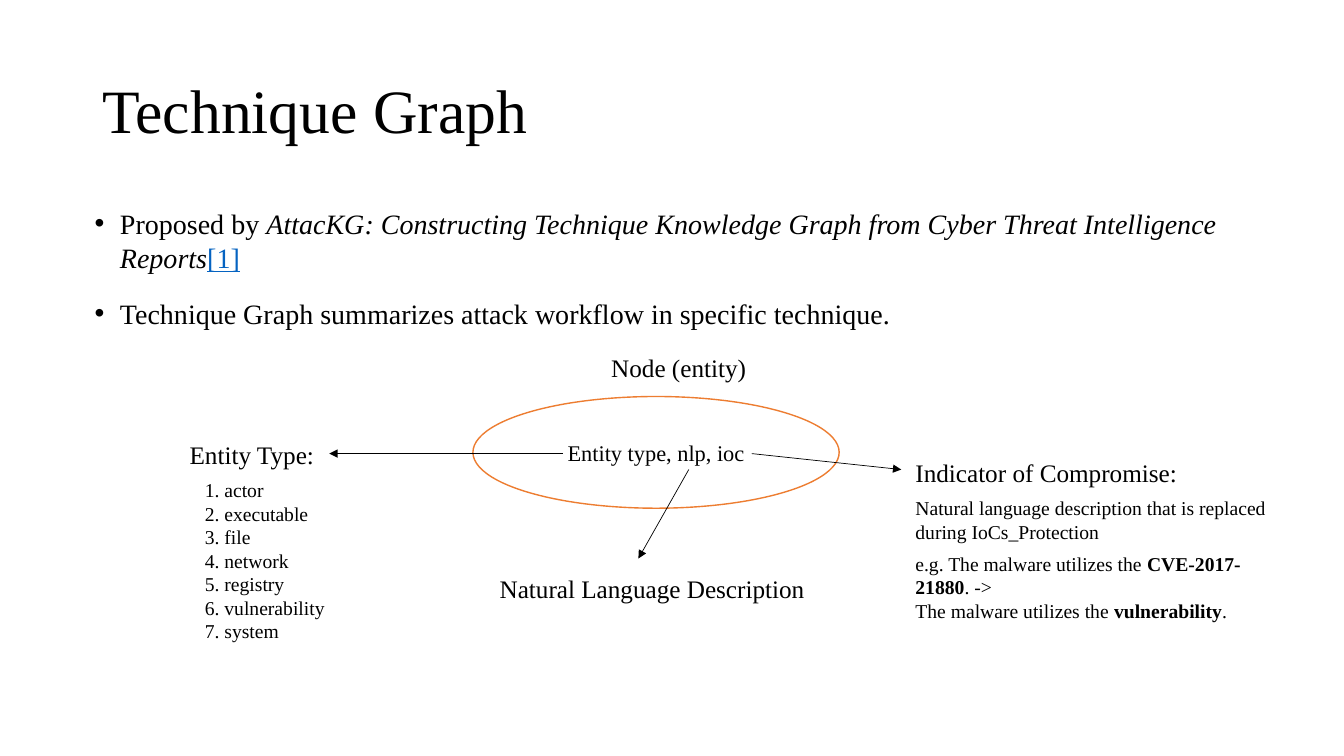
from dataclasses import dataclass

from lxml.etree import SubElement
from pptx import Presentation
from pptx.dml.color import RGBColor
from pptx.enum.shapes import MSO_CONNECTOR, MSO_SHAPE
from pptx.enum.text import MSO_ANCHOR as Anchor, PP_ALIGN as Align
from pptx.oxml.ns import qn
from pptx.util import Inches, Pt

BLACK = RGBColor(0x00, 0x00, 0x00)
WHITE = RGBColor(0xFF, 0xFF, 0xFF)
ORANGE = RGBColor(0xED, 0x7D, 0x31)
LINK_BLUE = RGBColor(0x05, 0x63, 0xC1)
FONT = "Times New Roman"
CELL = Inches(1 / 12)  # the slide is a grid of 160 columns by 90 rows

ENTITY_TYPES = ["actor", "executable", "file", "network", "registry",
                "vulnerability", "system"]


@dataclass
class Box:
    """A rectangle in grid columns and rows."""
    left: float
    top: float
    width: float
    height: float

    def inner(self, left, top, width, height):
        """Return a box placed relative to this one."""
        return Box(self.left + left, self.top + top, width, height)

    def point(self, column, row):
        """Return the slide position of a point inside this box."""
        return round((self.left + column) * CELL), round((self.top + row) * CELL)

    def frame(self):
        """Return left, top, width and height as slide lengths."""
        return [round(n * CELL)
                for n in (self.left, self.top, self.width, self.height)]


def add_text_box(page, box, anchor=Anchor.TOP):
    """Add a wrapping text box and return its text frame."""
    text = page.shapes.add_textbox(*box.frame()).text_frame
    text.word_wrap = True
    text.vertical_anchor = anchor
    return text


def write(text, size, *pieces, before=0, after=0, align=Align.LEFT):
    """Write one paragraph; a piece is a string or (string, font settings)."""
    first = text.paragraphs[0]
    para = text.add_paragraph() if first.runs else first
    para.alignment = align
    para.space_before, para.space_after = Pt(before), Pt(after)
    para.font.name, para.font.size = FONT, Pt(size)
    para.font.color.rgb = BLACK
    for piece in pieces:
        words, settings = (piece, {}) if isinstance(piece, str) else piece
        span = para.add_run()
        span.text = words
        span.font.bold = settings.get("bold")
        span.font.italic = settings.get("italic")
        span.font.underline = settings.get("underline")
        if "color" in settings:
            span.font.color.rgb = settings["color"]
    return para


def indent(para, margin, first_line=0, bullet=None):
    """Set the indents of a paragraph in inches, with an optional bullet."""
    properties = para._p.get_or_add_pPr()
    properties.set("marL", str(Inches(margin)))
    properties.set("indent", str(Inches(first_line)))
    if bullet:
        font = SubElement(properties, qn("a:buFont"), typeface="Arial")
        font.addnext(SubElement(properties, qn("a:buChar"), char=bullet))
        # Bullets come before the default run settings in the schema.
        defaults = properties.find(qn("a:defRPr"))
        if defaults is not None:
            properties.append(defaults)


def add_arrow(page, start, end):
    """Draw a thin black arrow from start to end."""
    arrow = page.shapes.add_connector(MSO_CONNECTOR.STRAIGHT, *start, *end)
    arrow.line.color.rgb = BLACK
    arrow.line.width = Pt(0.5)
    properties = arrow._element.spPr
    SubElement(properties.find(qn("a:ln")), qn("a:tailEnd"), type="triangle")
    SubElement(properties, qn("a:effectLst"))


def add_title(page, box):
    """Write the slide title."""
    text = add_text_box(page, box, Anchor.MIDDLE)
    write(text, 44, "Technique Graph").line_spacing = 0.9


def add_summary(page, box):
    """Write the two bullets under the title."""
    text = add_text_box(page, box)
    paper = ("AttacKG: Constructing Technique Knowledge Graph from "
             "Cyber Threat Intelligence Reports")
    bullets = [
        ["Proposed by ", (paper, {"italic": True}),
         ("[1]", {"color": LINK_BLUE, "underline": True})],
        ["Technique Graph summarizes attack workflow in specific technique."],
    ]
    for pieces in bullets:
        para = write(text, 20, *pieces, before=10, after=6)
        indent(para, 0.25, -0.25, "•")


def add_node(page, box):
    """Draw the entity node as an outlined ellipse."""
    node = page.shapes.add_shape(MSO_SHAPE.OVAL, *box.frame())
    node.shadow.inherit = False
    node.fill.solid()
    node.fill.fore_color.rgb = WHITE
    node.line.color.rgb = ORANGE
    node.line.width = Pt(1)
    node.text_frame.vertical_anchor = Anchor.MIDDLE
    write(node.text_frame, 16, "Entity type, nlp, ioc", align=Align.CENTER)


def add_entity_types(page, box):
    """List the numbered entity types under their heading."""
    text = add_text_box(page, box)
    write(text, 18, "Entity Type:", after=6)
    for number, entity in enumerate(ENTITY_TYPES, 1):
        indent(write(text, 14, f"{number}. {entity}"), 0.15)


def add_indicator(page, box):
    """Explain the indicator of compromise with an example."""
    text = add_text_box(page, box)
    bold = {"bold": True}
    write(text, 18, "Indicator of Compromise:", after=6)
    write(text, 14, "Natural language description that is replaced "
                    "during IoCs_Protection")
    write(text, 14, "e.g. The malware utilizes the ",
          ("CVE-2017-21880", bold), ". ->", before=6)
    write(text, 14, "The malware utilizes the ", ("vulnerability", bold), ".")


def add_node_diagram(page, box):
    """Draw the node with arrows to the meaning of its three fields."""
    add_node(page, box.inner(35.3, 6.2, 43.6, 13.3))
    label = add_text_box(page, box.inner(49.3, 0.4, 21, 4.8))
    write(label, 18, "Node (entity)", align=Align.CENTER)
    add_entity_types(page, box.inner(0.4, 10.7, 31, 28.4))
    description = add_text_box(page, box.inner(37.3, 26.7, 40.1, 4.8))
    write(description, 18, "Natural Language Description")
    add_indicator(page, box.inner(86.8, 12.9, 45.1, 23.9))
    for start, end in [((46, 13), (18.2, 13)),
                       ((61, 14.9), (55, 25.5)),
                       ((68.5, 13), (86.3, 14.9))]:
        add_arrow(page, box.point(*start), box.point(*end))


def build():
    """Build the one-slide deck and save it."""
    deck = Presentation()
    deck.slide_width, deck.slide_height = 160 * CELL, 90 * CELL
    page = deck.slides.add_slide(deck.slide_layouts[6])
    add_title(page, Box(11, 4.8, 138, 17.4))
    add_summary(page, Box(10.1, 24, 138, 57))
    add_node_diagram(page, Box(21, 41, 132, 40))
    deck.save("out.pptx")


build()
